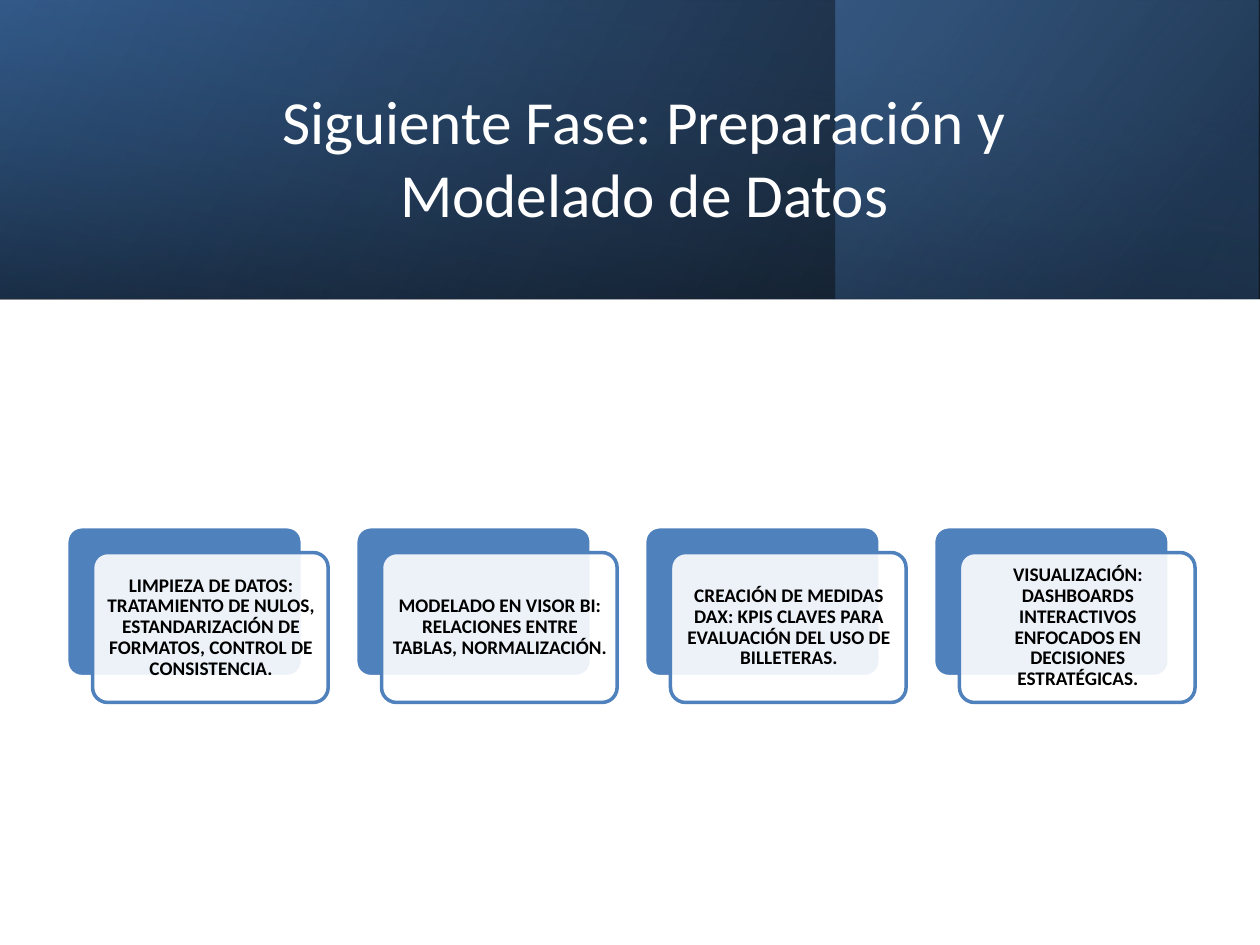
"""Build a slide with a gradient title band and four layered cards."""
from lxml.etree import SubElement
from pptx import Presentation
from pptx.dml.color import RGBColor
from pptx.enum.shapes import MSO_SHAPE as Shape
from pptx.enum.text import MSO_ANCHOR as Anchor, PP_ALIGN as Align
from pptx.oxml import parse_xml
from pptx.oxml.ns import nsdecls, qn
from pptx.util import Inches, Pt

COLORS = {
    "white": "FFFFFF", "black": "000000", "blue": "4F81BD",
    "deep": "366092", "navy": "244061",
}
FONT = "Calibri"
BANDS = [
    ((0, 0, 10, 2.37), 0, 330, [(0, "black", 96), (100, "deep", 100)]),
    ((6.63, 0, 3.36, 2.37), 0, 320,
     [(0, "navy", 68), (19, "navy", 68), (100, "blue", 48)]),
    ((3.81, -3.81, 2.37, 10), 270, 350,
     [(0, "deep", 16), (23, "deep", 16), (99, "black", 45), (100, "black", 45)]),
]
CARDS = [
    "LIMPIEZA DE DATOS: TRATAMIENTO DE NULOS, ESTANDARIZACIÓN DE FORMATOS, CONTROL DE CONSISTENCIA.",
    "MODELADO EN VISOR BI: RELACIONES ENTRE TABLAS, NORMALIZACIÓN.",
    "CREACIÓN DE MEDIDAS DAX: KPIS CLAVES PARA EVALUACIÓN DEL USO DE BILLETERAS.",
    "VISUALIZACIÓN: DASHBOARDS INTERACTIVOS ENFOCADOS EN DECISIONES ESTRATÉGICAS.",
]
CARD_LEFT, CARD_TOP, CARD_PITCH = 0.53, 4.18, 6.88 / 3
CARD_WIDTH, CARD_HEIGHT, CARD_OFFSET = 1.87, 1.19, 0.205


def rgb(name):
    """Return the named colour."""
    return RGBColor.from_string(COLORS[name])


def box(values):
    """Convert a left, top, width, height tuple to lengths."""
    return [Inches(value) for value in values]


def set_alpha(color, percent):
    """Add an opacity to a colour element."""
    SubElement(color, qn("a:alpha")).set("val", str(percent * 1000))


def add_band(slide, place, rotation, angle, stops):
    """Add a mirrored rectangle with a translucent linear gradient."""
    shape = slide.shapes.add_shape(Shape.RECTANGLE, *box(place))
    shape.shadow.inherit = False
    shape.rotation = rotation
    shape.line.fill.background()
    shape.fill.background()
    properties = shape.element.spPr
    properties.find(qn("a:xfrm")).set("flipH", "1")
    gradient = parse_xml(
        f'<a:gradFill {nsdecls("a")} rotWithShape="1"><a:gsLst/>'
        f'<a:lin ang="{angle * 60000}" scaled="0"/></a:gradFill>')
    for position, name, opacity in stops:
        stop = SubElement(gradient[0], qn("a:gs"), pos=str(position * 1000))
        color = SubElement(stop, qn("a:srgbClr"), val=COLORS[name])
        set_alpha(color, opacity)
    properties.replace(properties.find(qn("a:noFill")), gradient)


def add_text(slide, place, text, size, color, bold=False, spacing=1.0, insets=(0.1, 0.05)):
    """Add a centred text box."""
    frame = slide.shapes.add_textbox(*box(place)).text_frame
    frame.word_wrap = True
    frame.vertical_anchor = Anchor.MIDDLE
    frame.margin_left = frame.margin_right = Inches(insets[0])
    frame.margin_top = frame.margin_bottom = Inches(insets[1])
    paragraph = frame.paragraphs[0]
    paragraph.alignment = Align.CENTER
    paragraph.line_spacing = spacing
    run = paragraph.add_run()
    run.text = text
    run.font.name = FONT
    run.font.size = Pt(size)
    run.font.bold = bold
    run.font.color.rgb = rgb(color)


def add_panel(slide, left, top, fill, line, opacity=100):
    """Add one rounded layer of a card."""
    shape = slide.shapes.add_shape(
        Shape.ROUNDED_RECTANGLE, *box((left, top, CARD_WIDTH, CARD_HEIGHT)))
    shape.shadow.inherit = False
    shape.adjustments[0] = 0.1
    shape.fill.solid()
    shape.fill.fore_color.rgb = rgb(fill)
    shape.line.color.rgb = rgb(line)
    shape.line.width = Pt(2)
    if opacity < 100:
        solid = shape.element.spPr.find(qn("a:solidFill"))
        set_alpha(solid[0], opacity)


def add_card(slide, left, text):
    """Add a blue panel, the translucent panel over it and the text."""
    front_left, front_top = left + CARD_OFFSET, CARD_TOP + CARD_OFFSET
    add_panel(slide, left, CARD_TOP, "blue", "white")
    add_panel(slide, front_left, front_top, "white", "blue", 90)
    place = (front_left + 0.035, front_top + 0.035, CARD_WIDTH - 0.06, CARD_HEIGHT - 0.07)
    add_text(slide, place, text, 11, "black", True, 0.9, (0.05, 0.05))


def main():
    """Build and save the presentation."""
    presentation = Presentation()
    presentation.slide_width, presentation.slide_height = Inches(10), Inches(7.5)
    slide = presentation.slides.add_slide(presentation.slide_layouts[6])
    for band in BANDS:
        add_band(slide, *band)
    add_text(slide, (1.13, 0.38, 7.97, 1.72),
             "Siguiente Fase: Preparación y Modelado de Datos", 35, "white")
    for index, text in enumerate(CARDS):
        add_card(slide, CARD_LEFT + index * CARD_PITCH, text)
    presentation.save("out.pptx")


if __name__ == "__main__":
    main()
